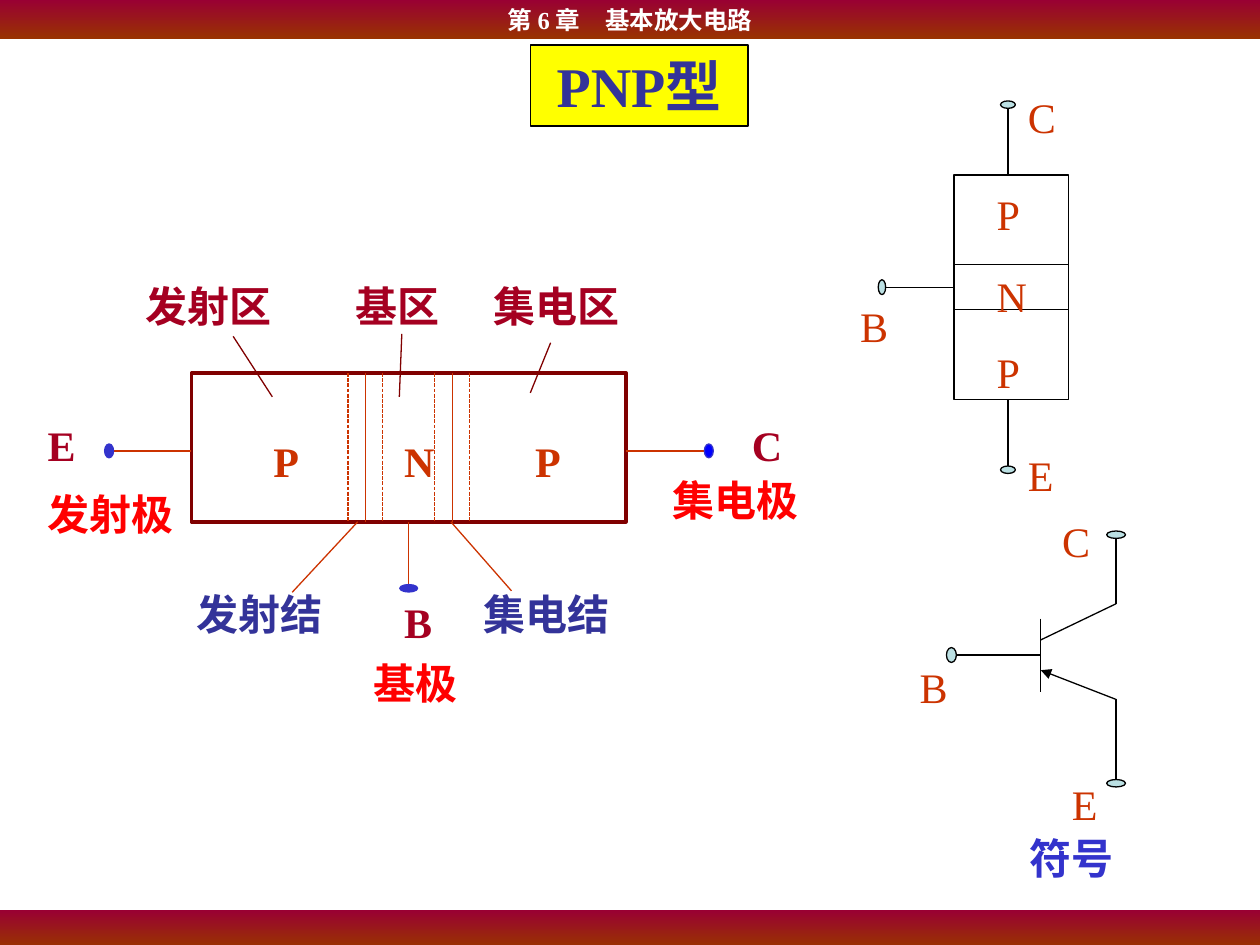
import dataclasses
import typing

import lxml.etree
import pptx
import pptx.dml.color
import pptx.enum.dml
import pptx.enum.shapes
import pptx.enum.text
import pptx.oxml.ns
import pptx.util

RGB = pptx.dml.color.RGBColor
Cm = pptx.util.Cm
Pt = pptx.util.Pt
Shape = pptx.enum.shapes.MSO_SHAPE

WINE = RGB(0x99, 0x00, 0x33)
RUST = RGB(0x99, 0x33, 0x00)
CRIMSON = RGB(0xA5, 0x00, 0x21)
MAROON = RGB(0x80, 0x00, 0x00)
ORANGE = RGB(0xCC, 0x33, 0x00)
RED = RGB(0xFF, 0x00, 0x00)
NAVY = RGB(0x33, 0x33, 0x99)
INDIGO = RGB(0x33, 0x33, 0xCC)
BLUE = RGB(0x00, 0x00, 0xFF)
AQUA = RGB(0xBB, 0xE0, 0xE3)
YELLOW = RGB(0xFF, 0xFF, 0x00)
BLACK = RGB(0x00, 0x00, 0x00)
WHITE = RGB(0xFF, 0xFF, 0xFF)
FONT = "Times New Roman"


def add_sub(node, tag, **attrs):
    """Append a DrawingML child to a node."""
    return lxml.etree.SubElement(node, pptx.oxml.ns.qn(tag), **attrs)


def write(frame, text, size, ink, bold=True, align=pptx.enum.text.PP_ALIGN.LEFT):
    """Put one styled run into a text frame."""
    para = frame.paragraphs[0]
    para.alignment = align
    run = para.add_run()
    run.text = text
    run.font.name = FONT
    run.font.size = Pt(size)
    run.font.bold = bold
    run.font.color.rgb = ink


@dataclasses.dataclass
class Pen:
    """Draws on a slide, in centimetres from the corner of a box."""

    slide: typing.Any
    left: float
    top: float

    def line(self, x1, y1, x2, y2, ink=BLACK, dash=False, arrow=False):
        """Draw a thin straight line, with an optional arrowhead at its start."""
        link = self.slide.shapes.add_connector(
            pptx.enum.shapes.MSO_CONNECTOR.STRAIGHT,
            Cm(self.left + x1), Cm(self.top + y1),
            Cm(self.left + x2), Cm(self.top + y2))
        link.line.color.rgb = ink
        link.line.width = Pt(0.75)
        if dash:
            link.line.dash_style = pptx.enum.dml.MSO_LINE.SQUARE_DOT
        if arrow:
            add_sub(link.line._get_or_add_ln(), "a:headEnd", type="triangle")
        add_sub(link._element.spPr, "a:effectLst")
        return link

    def form(self, kind, x, y, w, h, fill=None, ink=None, width=0.75):
        """Draw a preset shape."""
        part = self.slide.shapes.add_shape(
            kind, Cm(self.left + x), Cm(self.top + y), Cm(w), Cm(h))
        part.shadow.inherit = False
        if fill is None:
            part.fill.background()
        else:
            part.fill.solid()
            part.fill.fore_color.rgb = fill
        if ink is None:
            part.line.fill.background()
        else:
            part.line.color.rgb = ink
            part.line.width = Pt(width)
        return part

    def dot(self, x, y, w, h, fill=AQUA, ink=BLACK):
        """Draw a terminal around its centre."""
        self.form(Shape.FLOWCHART_CONNECTOR, x - w / 2, y - h / 2, w, h, fill, ink)

    def label(self, text, x, y, w, ink=ORANGE, bold=True):
        """Place a one-line label."""
        box = self.slide.shapes.add_textbox(
            Cm(self.left + x), Cm(self.top + y), Cm(w), Cm(1.27))
        box.text_frame.word_wrap = True
        box.text_frame.auto_size = pptx.enum.text.MSO_AUTO_SIZE.SHAPE_TO_FIT_TEXT
        write(box.text_frame, text, 24, ink, bold)


def add_bar(slide, x, y, w, h, text=""):
    """Draw a gradient bar, with an optional chapter heading."""
    bar = Pen(slide, x, y).form(Shape.RECTANGLE, 0, 0, w, h)
    bar.fill.gradient()
    bar.fill.gradient_angle = 270
    for stop, tint in zip(bar.fill.gradient_stops, (WINE, RUST)):
        stop.color.rgb = tint
    if text:
        bar.text_frame.word_wrap = False
        write(bar.text_frame, text, 14, WHITE, align=pptx.enum.text.PP_ALIGN.CENTER)


def add_title(slide, x, y, w, h):
    """Draw the yellow title box."""
    box = Pen(slide, x, y).form(Shape.RECTANGLE, 0, 0, w, h, YELLOW, BLACK)
    box.text_frame.word_wrap = True
    write(box.text_frame, "PNP型", 32, NAVY, align=pptx.enum.text.PP_ALIGN.CENTER)


def add_block(slide, x, y, w, h):
    """Draw the labelled transistor structure around its block."""
    pen = Pen(slide, x, y)
    body = pen.form(Shape.RECTANGLE, 0, 0, w, h, ink=MAROON, width=2)
    for mid in (0.4 * w, 0.6 * w):
        for step in (-1, 0, 1):
            place = mid + step * 0.04 * w
            pen.line(place, 0, place, h, ORANGE, dash=step != 0)

    pen.line(-1.57, 1.57, 0, 1.57, ORANGE)
    pen.dot(-1.66, 1.57, 0.18, 0.28, INDIGO, INDIGO)
    pen.line(w + 1.6, 1.57, w, 1.57, ORANGE)
    pen.dot(w + 1.67, 1.57, 0.18, 0.28, BLUE, INDIGO)
    pen.line(w / 2, 4.27, w / 2, h, ORANGE).end_connect(body, 2)
    pen.dot(w / 2, 4.34, 0.36, 0.15, INDIGO, INDIGO)

    for col, text in enumerate("PNP"):
        pen.label(text, 1.4 + 2.64 * col, 1.14, 1.4)
    for text, left, top, wide, ink in (
            ("E", -3.15, 0.81, 1.22, CRIMSON),
            ("发射极", -3.15, 2.21, 3.4, RED),
            ("B", 4.04, 4.39, 0.71, CRIMSON),
            ("基极", 3.43, 5.61, 3.4, RED),
            ("C", 11.05, 0.81, 1.4, CRIMSON),
            ("集电极", 9.45, 1.93, 3.4, RED),
            ("基区", 3.05, -1.98, 3, CRIMSON),
            ("发射区", -1.17, -1.98, 3.53, CRIMSON),
            ("集电区", 5.84, -1.98, 3.63, CRIMSON),
            ("集电结", 5.64, 4.21, 3.71, NAVY),
            ("发射结", -0.15, 4.21, 4.09, NAVY)):
        pen.label(text, left, top, wide, ink)
    for ends, ink in (
            ((4.19, 0.48, 4.24, -0.79), MAROON),
            ((1.63, 0.48, 0.84, -0.74), MAROON),
            ((6.83, 0.4, 7.24, -0.61), MAROON),
            ((6.45, 4.39, 5.23, h), ORANGE),
            ((3.35, h, 2.03, 4.42), ORANGE)):
        pen.line(*ends, ink)


def add_stack(slide, x, y, w, h):
    """Draw the upright layer stack with its three leads."""
    pen = Pen(slide, x, y)
    body = pen.form(Shape.RECTANGLE, 0, 0, w, h, ink=BLACK)
    for part in (0.4, 0.6):
        pen.line(0, part * h, w, part * h)
    for edge, tip, end in ((0, -1.35, -1.42), (h, h + 1.35, h + 1.42)):
        pen.line(1.09, tip, 1.09, edge)
        pen.dot(1.09, end, 0.3, 0.15)
    pen.line(-1.37, h / 2, 0, h / 2).end_connect(body, 1)
    pen.dot(-1.45, h / 2, 0.15, 0.3)
    for text, left, top, wide in (
            ("P", 0.61, 0.15, 0.76), ("N", 0.61, 1.8, 0.76),
            ("P", 0.61, 3.33, 0.76), ("B", -2.14, 2.41, 0.61),
            ("E", 1.24, 5.41, 1.07), ("C", 1.24, -1.8, 1.22)):
        pen.label(text, left, top, wide, bold=False)


def add_symbol(slide, x, y, w, h):
    """Draw the circuit symbol around its base bar."""
    pen = Pen(slide, x, y)
    pen.line(0, 0, 0, h)
    pen.line(-1.73, h / 2, 0, h / 2)
    pen.dot(-1.8, h / 2, 0.2, 0.3)
    pen.line(0, 0.43, w, -0.3)
    pen.line(0, 1.04, w, 1.63, arrow=True)
    for tip, bend, end in ((-1.62, -0.3, -1.69), (3.25, 1.63, 3.32)):
        pen.line(w, tip, w, bend)
        pen.dot(w, end, 0.38, 0.15)
    for text, left, top, wide in (
            ("C", 0.18, -2.21, 1.52), ("E", 0.38, 3.1, 1.35),
            ("B", -2.69, 0.74, 0.76)):
        pen.label(text, left, top, wide, bold=False)
    pen.label("符号", -0.48, 4.19, 3.38, INDIGO)


def main():
    """Build and save the slide."""
    deck = pptx.Presentation()
    deck.slide_width = Cm(25.4)
    deck.slide_height = Cm(19.05)
    slide = deck.slides.add_slide(deck.slide_layouts[6])
    add_bar(slide, 0, 18.34, 25.4, 0.76)
    add_bar(slide, 0, 0, 25.4, 0.79, "第 6 章　基本放大电路")
    add_block(slide, 3.86, 7.52, 8.76, 3)
    add_title(slide, 10.69, 0.91, 4.39, 1.63)
    add_stack(slide, 19.23, 3.53, 2.31, 4.52)
    add_symbol(slide, 20.98, 12.47, 1.52, 1.47)
    deck.save("out.pptx")


if __name__ == "__main__":
    main()
